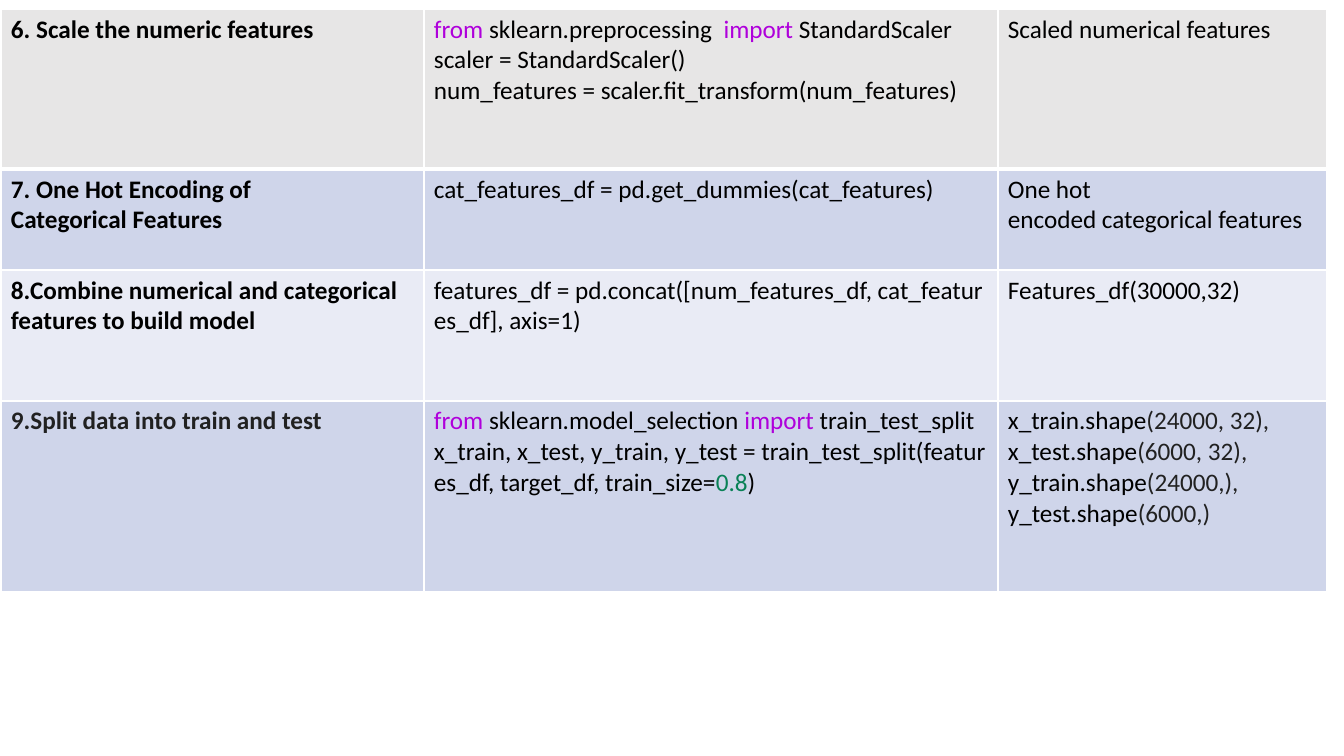
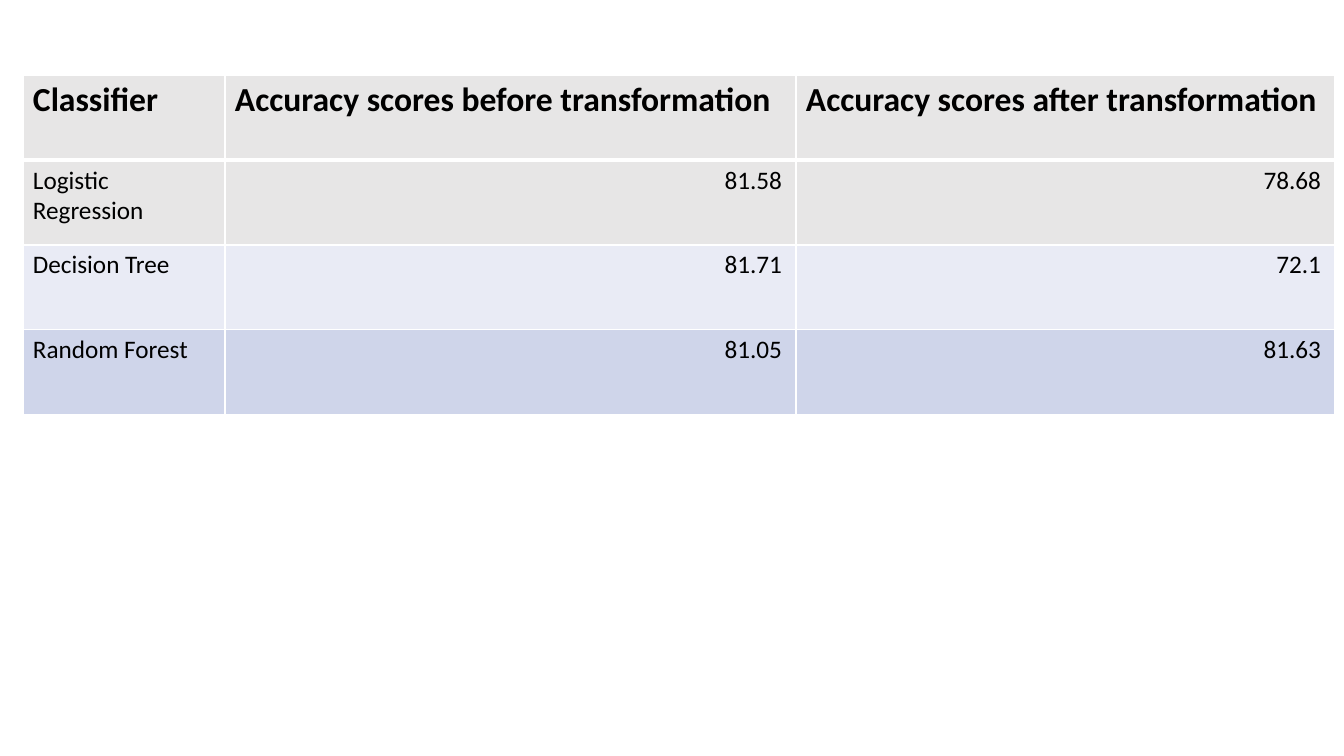
from lxml import etree
from pptx import Presentation
from pptx import util as u
from pptx.dml import color
from pptx.enum import text
from pptx.oxml import ns

PX = u.Inches(1) / 100.8
FONT = "Calibri"
BLACK, INK, KEYWORD, NUMBER = "000000", "212121", "AF00DB", "098156"
WHITE, GREY, BAND_DARK, BAND_LIGHT = "FFFFFF", "E7E6E6", "CFD5EA", "E9EBF5"
NO_BREAK_SPACE = chr(160)


def px(length):
    return u.Emu(round(length * PX))


def rgb(value):
    return color.RGBColor.from_string(value)


steps = [
    [
        ["6. Scale the numeric features"],
        [
            [("from ", KEYWORD), ("sklearn.preprocessing  ", BLACK),
             ("import ", KEYWORD), ("StandardScaler", BLACK)],
            "scaler = StandardScaler()",
            "num_features = scaler.fit_transform(num_features)",
        ],
        ["Scaled numerical features"],
    ],
    [
        ["7. One Hot Encoding of", "Categorical Features"],
        ["cat_features_df = pd.get_dummies(cat_features)"],
        ["One hot", "encoded categorical features"],
    ],
    [
        ["8.Combine numerical and categorical features to build model"],
        ["features_df = pd.concat([num_features_df, cat_features_df], axis=1)"],
        ["Features_df(30000,32)"],
    ],
    [
        [[("9.Split data into train and test", INK)]],
        [
            [("from ", KEYWORD), ("sklearn.model_selection ", BLACK),
             ("import ", KEYWORD), ("train_test_split", BLACK)],
            [("x_train, x_test, y_train, y_test = train_test_split("
              "features_df, target_df, train_size=", BLACK),
             ("0.8", NUMBER), (")", BLACK)],
        ],
        [
            [("x_train.shape", BLACK), ("(24000, 32),", INK)],
            [("x_test.shape", BLACK), ("(6000, 32),", INK)],
            [("y_train.shape", BLACK), ("(24000,),", INK)],
            [("y_test.shape", BLACK), ("(6000,)", INK)],
        ],
    ],
]

scores = [
    [["Classifier"], ["Accuracy scores before transformation"],
     ["Accuracy scores after transformation"]],
    [["Logistic Regression"], ["81.58"], ["78.68"]],
    [["Decision Tree"], ["81.71"], ["72.1"]],
    [["Random Forest"], ["81.05"], ["81.63"]],
]

pages = [
    dict(content=steps, left=1, top=9, widths=[423, 574, 329],
         heights=[160, 101, 131, 191],
         fills=[GREY, BAND_DARK, BAND_LIGHT, BAND_DARK],
         header_size=18, bold_row=None, bold_column=0,
         code_column=1, score_columns=[]),
    dict(content=scores, left=23, top=75, widths=[202, 571, 539],
         heights=[85, 85, 85, 85],
         fills=[GREY, GREY, BAND_LIGHT, BAND_DARK],
         header_size=24, bold_row=0, bold_column=None,
         code_column=None, score_columns=[1, 2]),
]

deck = Presentation()
deck.slide_width, deck.slide_height = px(1344), px(756)

for page in pages:
    slide = deck.slides.add_slide(deck.slide_layouts[6])
    widths, heights = page["widths"], page["heights"]
    grid = slide.shapes.add_table(
        len(heights), len(widths), px(page["left"]), px(page["top"]),
        px(sum(widths)), px(sum(heights))).table
    grid.first_row = grid.horz_banding = False
    for column, width in zip(grid.columns, widths):
        column.width = px(width)
    for row, height in zip(grid.rows, heights):
        row.height = px(height)

    for r, row_content in enumerate(page["content"]):
        for c, lines in enumerate(row_content):
            cell = grid.cell(r, c)
            borders = {"lnL": 1, "lnR": 1,
                       "lnT": 3 if r == 1 else 1, "lnB": 3 if r == 0 else 1}
            for side, points in borders.items():
                border = etree.SubElement(cell._tc.get_or_add_tcPr(),
                                          ns.qn("a:" + side), w=str(u.Pt(points)))
                paint = etree.SubElement(border, ns.qn("a:solidFill"))
                etree.SubElement(paint, ns.qn("a:srgbClr"), val=WHITE)
            cell.fill.solid()
            cell.fill.fore_color.rgb = rgb(page["fills"][r])

            is_score = r > 0 and c in page["score_columns"]
            cell.margin_left = px(10)
            cell.margin_right = px(14 if is_score else 10)

            for i, line in enumerate(lines):
                frame = cell.text_frame
                paragraph = frame.add_paragraph() if i else frame.paragraphs[0]
                paragraph.font.name = FONT
                paragraph.font.size = u.Pt(page["header_size"] if r == 0 else 18)
                paragraph.font.bold = r == page["bold_row"] or c == page["bold_column"]
                if is_score:
                    paragraph.alignment = text.PP_ALIGN.RIGHT
                parts = [(line, BLACK)] if isinstance(line, str) else line
                for wording, tint in parts:
                    run = paragraph.add_run()
                    run.text = (wording.replace(" ", NO_BREAK_SPACE)
                                if c == page["code_column"] else wording)
                    run.font.color.rgb = rgb(tint)

deck.save("out.pptx")
